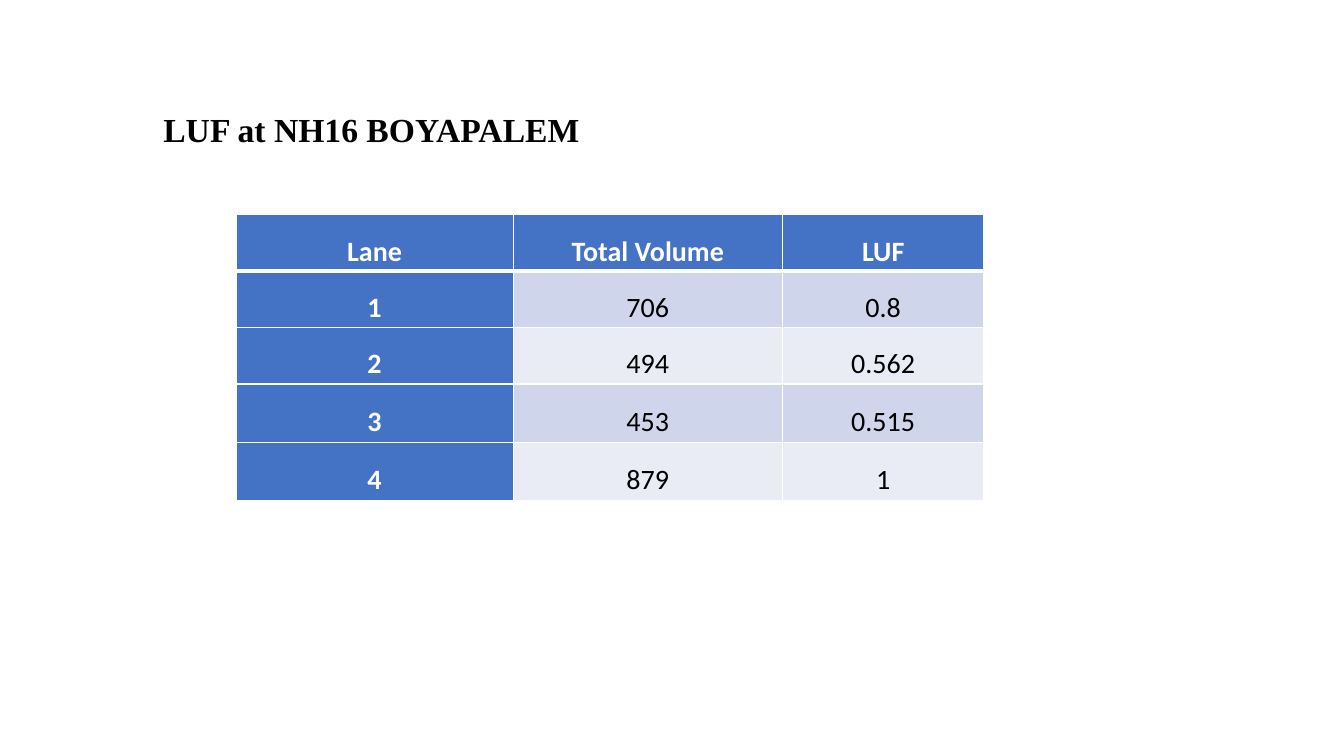
from lxml import etree
from pptx import Presentation
from pptx.dml.color import RGBColor
from pptx.enum.text import MSO_ANCHOR, MSO_AUTO_SIZE, PP_ALIGN
from pptx.oxml.ns import qn
from pptx.util import Inches, Pt

LEFT, CENTER = PP_ALIGN.LEFT, PP_ALIGN.CENTER
TOP, MIDDLE = MSO_ANCHOR.TOP, MSO_ANCHOR.MIDDLE
GROW = MSO_AUTO_SIZE.SHAPE_TO_FIT_TEXT

# Content
TITLE = "LUF at NH16 BOYAPALEM"
ROWS = [
    ("Lane", "Total Volume", "LUF"),
    ("1", "706", "0.8"),
    ("2", "494", "0.562"),
    ("3", "453", "0.515"),
    ("4", "879", "1"),
]
WIDTHS = (2.75, 2.67, 2)
HEIGHTS = (0.56, 0.56, 0.56, 0.58, 0.58)
COLORS = {"head": "4472C4", "odd": "CFD5EA", "even": "E9EBF5",
          "white": "FFFFFF", "black": "000000"}


def write(frame, text, size=20, face="Calibri", color="black", bold=False,
          align=CENTER, space=1.5):
    para = frame.paragraphs[0]
    para.alignment = align
    para.line_spacing = space
    run = para.add_run()
    run.text = text
    font = run.font
    font.size, font.name, font.bold = Pt(size), face, bold
    font.color.rgb = RGBColor.from_string(COLORS[color])


def border(cell, side, width):
    line = etree.SubElement(cell._tc.get_or_add_tcPr(), qn("a:ln" + side),
                            w=str(Pt(width)))
    fill = etree.SubElement(line, qn("a:solidFill"))
    etree.SubElement(fill, qn("a:srgbClr"), val=COLORS["white"])


deck = Presentation()
deck.slide_width, deck.slide_height = Inches(13.33), Inches(7.5)
slide = deck.slides.add_slide(deck.slide_layouts[5])

# Title
title = slide.shapes.title
title.left, title.top = Inches(1.52), Inches(1.03)
title.width, title.height = Inches(6.67), Inches(0.5)
frame = title.text_frame
frame.word_wrap = True
frame.auto_size = GROW
frame.vertical_anchor = TOP
write(frame, TITLE, size=24, face="Times New Roman", bold=True,
      align=LEFT, space=1)

# Table
table = slide.shapes.add_table(
    len(ROWS), len(WIDTHS), Inches(2.34), Inches(2.13),
    Inches(sum(WIDTHS)), Inches(sum(HEIGHTS))).table
table.first_col = True
for col, width in zip(table.columns, WIDTHS):
    col.width = Inches(width)
for row, height in zip(table.rows, HEIGHTS):
    row.height = Inches(height)

# Cells: blue first row and column, banded values
for r, texts in enumerate(ROWS):
    for c, text in enumerate(texts):
        cell = table.cell(r, c)
        head = r == 0 or c == 0
        cell.vertical_anchor = MIDDLE
        cell.margin_left = cell.margin_right = Inches(0.07)
        cell.margin_top = cell.margin_bottom = 0
        for side in "LRTB":
            thick = (r, side) in ((0, "B"), (1, "T"))
            border(cell, side, 3 if thick else 1)
        shade = "head" if head else "odd" if r % 2 else "even"
        cell.fill.solid()
        cell.fill.fore_color.rgb = RGBColor.from_string(COLORS[shade])
        write(cell.text_frame, text, bold=head,
              color="white" if head else "black")

deck.save("out.pptx")
